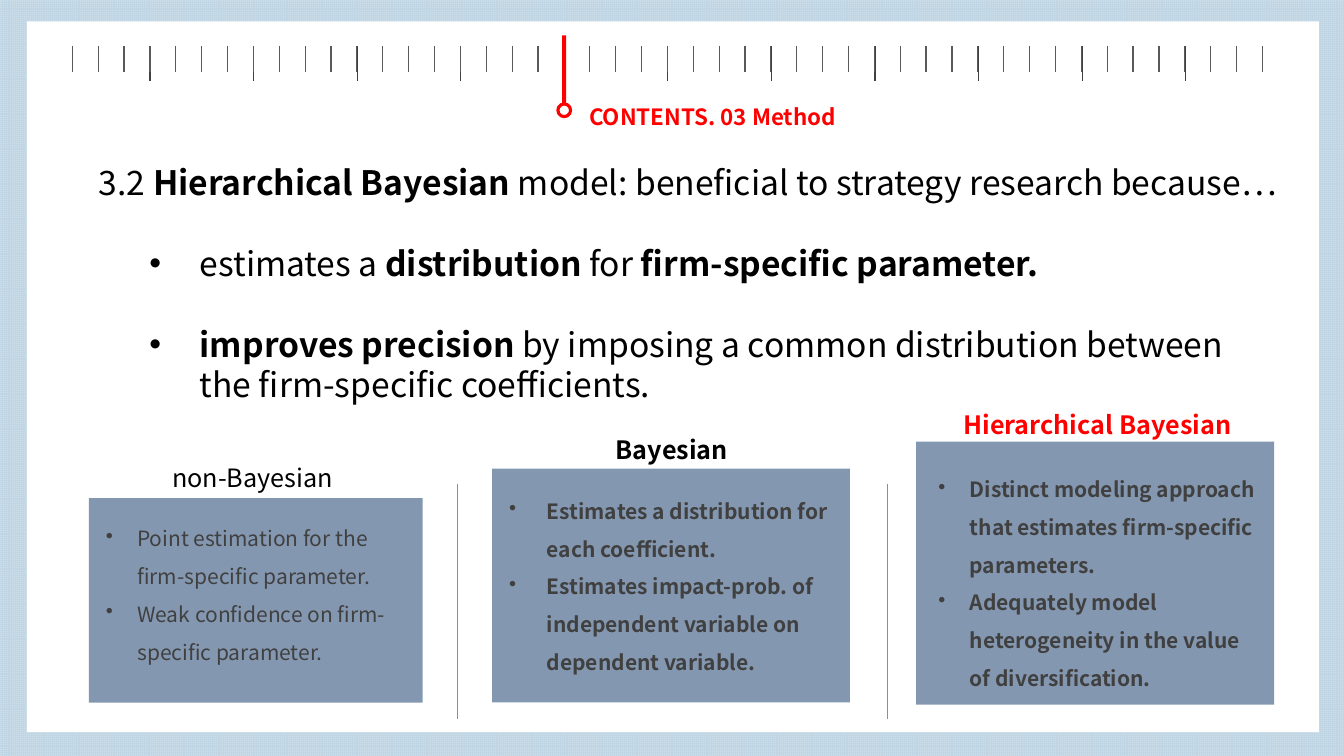
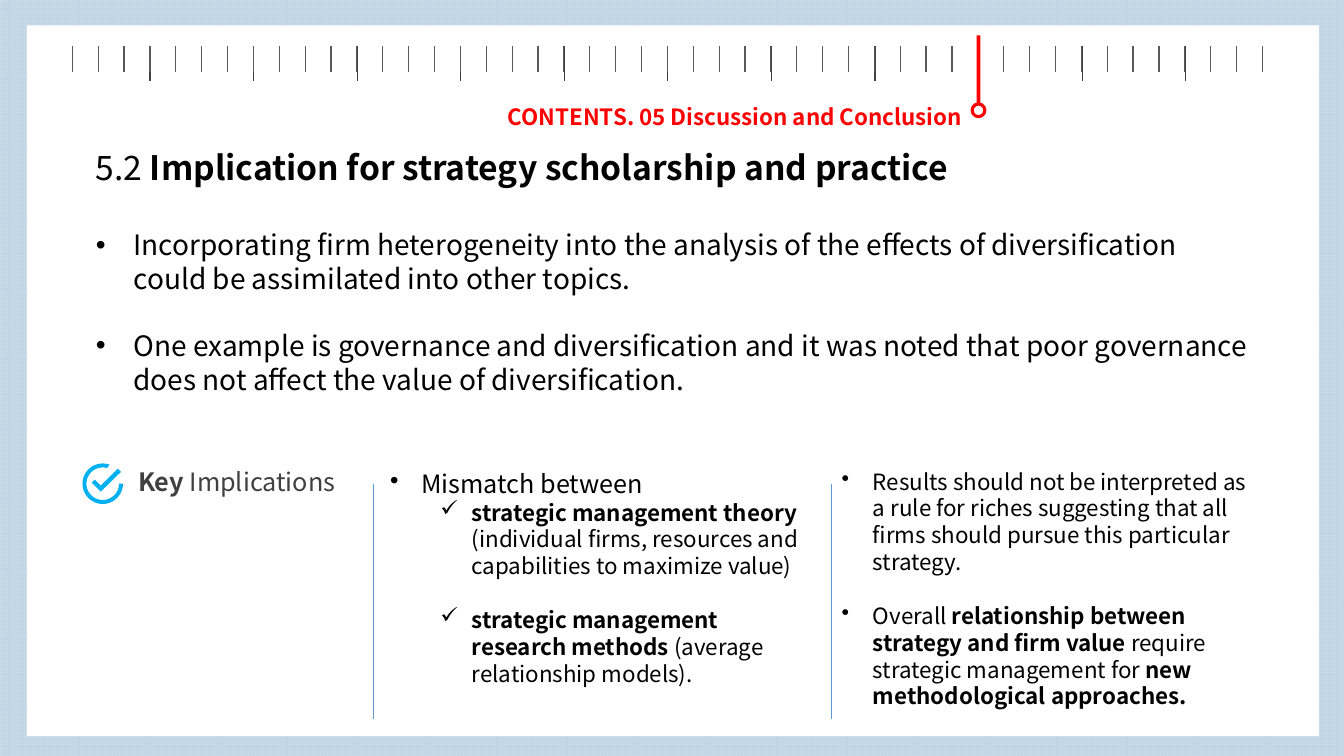
"""Build two slides on Bayesian models under a shared ruler header."""
import math

from lxml import etree
from pptx import Presentation
from pptx import util as u
from pptx.dml.color import RGBColor
from pptx.enum import dml, shapes, text
from pptx.oxml.ns import qn

Cm = u.Cm
FONT = "Noto Sans CJK KR"
RED = RGBColor(0xFF, 0x00, 0x00)
BLACK = RGBColor(0x00, 0x00, 0x00)
WHITE = RGBColor(0xFF, 0xFF, 0xFF)
DARK = RGBColor(0x40, 0x40, 0x40)
GREY = RGBColor(0x59, 0x59, 0x59)
SLATE = RGBColor(0x84, 0x97, 0xB0)
BLUE = RGBColor(0x5B, 0x9B, 0xD5)
CYAN = RGBColor(0x00, 0xB0, 0xF0)
GRID = RGBColor(0xC1, 0xD6, 0xE5)
PALE = RGBColor(0xCD, 0xDE, 0xE9)
WIDE, HIGH = 33.87, 19.05
LEFT, TOP, STEP, MARKS = 1.17, 1.17, 2.61, 12


def put(frame, words, size=18, color=BLACK, bold=False, mark=None,
        left=0, hang=0, level=0, before=0, lines=1.0):
    """Add a paragraph to a frame; words between asterisks are bold."""
    para = frame.paragraphs[0]
    if para.runs:
        para = frame.add_paragraph()
    para.alignment = text.PP_ALIGN.LEFT
    para.level = level
    para.line_spacing = lines
    para.space_before = u.Pt(before)
    para.space_after = u.Pt(0)
    props = para._p.get_or_add_pPr()
    props.set("marL", str(Cm(left)))
    props.set("indent", str(-Cm(hang)))
    if mark:
        etree.SubElement(props, qn("a:buChar")).set("char", mark)
    else:
        etree.SubElement(props, qn("a:buNone"))
    for i, part in enumerate(words.split("*")):
        if part:
            run = para.add_run()
            run.text = part
            run.font.name = FONT
            run.font.size = u.Pt(size)
            run.font.bold = bold or i % 2 == 1
            run.font.color.rgb = color


class Deck:
    """Holds the style and the current slide."""

    def __init__(self):
        """Start an empty wide deck."""
        self.prs = Presentation()
        self.prs.slide_width, self.prs.slide_height = Cm(WIDE), Cm(HIGH)

    def page(self, head, x, mark, top):
        """Add a slide with frame, ruler, pin and section name."""
        self.slide = self.prs.slides.add_slide(self.prs.slide_layouts[1])
        self.items = self.slide.shapes
        fill = self.shape(0, 0, WIDE, HIGH).fill
        fill.patterned()
        fill.pattern = dml.MSO_PATTERN.SMALL_GRID
        fill.fore_color.rgb, fill.back_color.rgb = GRID, PALE
        self.shape(0.68, top, 32.56, 17.91)
        self.ruler(MARKS, 0.86, DARK)
        self.ruler(MARKS * 4, 0.64, GREY)
        put(self.box(x, 2.13, 13.08, 1.3), head, size=16, color=RED,
            bold=True, lines=1.5)
        self.pin(LEFT + mark * STEP)

    def shape(self, x, y, w, h, color=WHITE, kind=shapes.MSO_SHAPE.RECTANGLE):
        """Add a flat shape without an outline."""
        item = self.items.add_shape(kind, Cm(x), Cm(y), Cm(w), Cm(h))
        item.shadow.inherit = False
        item.fill.solid()
        item.fill.fore_color.rgb = color
        item.line.fill.background()
        return item

    def ruler(self, count, high, color):
        """Add a one-row table whose inner borders are ticks."""
        wide = STEP * MARKS
        table = self.items.add_table(
            1, count, Cm(LEFT), Cm(TOP), Cm(wide), Cm(high)).table
        table.first_row = table.horz_banding = False
        table.rows[0].height = Cm(high)
        for i, col in enumerate(table.columns):
            col.width = Cm(wide / count)
            cell = table.cell(0, i)
            cell.margin_left = cell.margin_right = 0
            cell.margin_top = cell.margin_bottom = 0
            para = cell.text_frame.paragraphs[0]._p
            etree.SubElement(para, qn("a:endParaRPr")).set("sz", "100")
            shown = {"lnL": i > 0, "lnR": i < count - 1,
                     "lnT": False, "lnB": False}
            for side, seen in shown.items():
                self.edge(cell, side, color if seen else None)
            cell.fill.background()

    def edge(self, cell, side, color):
        """Set one border of a table cell."""
        line = etree.SubElement(cell._tc.get_or_add_tcPr(), qn("a:" + side))
        line.set("w", str(u.Pt(1)))
        if color is None:
            etree.SubElement(line, qn("a:noFill"))
        else:
            fill = etree.SubElement(line, qn("a:solidFill"))
            etree.SubElement(fill, qn("a:srgbClr")).set("val", str(color))

    def pin(self, x):
        """Mark a place on the ruler."""
        self.shape(x - 0.05, 0.89, 0.1, 1.8, RED)
        dot = self.shape(x - 0.16, 2.62, 0.32, 0.32,
                         kind=shapes.MSO_SHAPE.OVAL)
        dot.line.color.rgb = RED
        dot.line.width = u.Pt(2.25)

    def box(self, x, y, w, h):
        """Add a text box and return its frame."""
        item = self.items.add_textbox(Cm(x), Cm(y), Cm(w), Cm(h))
        item.text_frame.word_wrap = True
        return item.text_frame

    def holder(self, index, x, y, w, h):
        """Place a placeholder on top and return its frame."""
        item = self.slide.placeholders[index]
        item.left, item.top, item.width, item.height = map(Cm, (x, y, w, h))
        self.items._spTree.append(item._element)
        frame = item.text_frame
        frame.word_wrap = True
        frame.auto_size = text.MSO_AUTO_SIZE.NONE
        frame.vertical_anchor = text.MSO_ANCHOR.TOP
        return frame

    def title(self, words, x, y):
        """Fill the title."""
        put(self.holder(0, x, y, 30.6, 1.3), words, size=24)

    def body(self, rows, place, **form):
        """Fill the body with a list."""
        self.items_in(self.holder(1, *place), rows, **form)

    def items_in(self, frame, rows, gap=0, **form):
        """Write bullets with a gap between them."""
        for i, row in enumerate(rows):
            put(frame, row, mark="•", before=gap if i else 0, **form)

    def card(self, rows, place, inset, **form):
        """Add a filled box with a list in it."""
        frame = self.shape(*place, SLATE).text_frame
        frame.word_wrap = True
        frame.vertical_anchor = text.MSO_ANCHOR.TOP
        frame.margin_left, frame.margin_top = map(Cm, inset)
        frame.margin_right, frame.margin_bottom = Cm(0.45), 0
        self.items_in(frame, rows, size=15, color=DARK, lines=1.5, **form)

    def rule(self, x):
        """Add a thin upright line between columns."""
        line = self.items.add_connector(
            shapes.MSO_CONNECTOR.STRAIGHT, Cm(x), Cm(12.19), Cm(x), Cm(18.11))
        line.line.color.rgb = BLUE
        line.line.width = u.Pt(0.5)
        etree.SubElement(line._element.spPr, qn("a:effectLst"))

    def check(self, x, y):
        """Draw a tick in an open ring around a centre."""
        def arc(rad, turns):
            return [(rad * math.cos(math.radians(t)),
                     rad * math.sin(math.radians(t))) for t in turns]

        ring = arc(0.51, range(0, 291, 5)) + arc(0.41, range(285, -1, -5))
        tick = [(0.38, -0.38), (0.46, -0.3), (-0.05, 0.2),
                (-0.28, -0.03), (-0.2, -0.1), (-0.05, 0.05)]
        ring, tick = ([(Cm(x + a), Cm(y + b)) for a, b in part]
                      for part in (ring, tick))
        pen = self.items.build_freeform(*ring[0])
        pen.add_line_segments(ring[1:])
        pen.move_to(*tick[0])
        pen.add_line_segments(tick[1:])
        icon = pen.convert_to_shape()
        icon.shadow.inherit = False
        icon.fill.solid()
        icon.fill.fore_color.rgb = CYAN
        icon.line.fill.background()


def method(deck):
    """Build the slide on the hierarchical model."""
    deck.page("CONTENTS. 03 Method", 14.6, 5, 0.54)
    deck.title("3.2 *Hierarchical Bayesian *model: beneficial to strategy "
               "research because…", 2.24, 3.96)
    deck.body(["estimates a *distribution* for *firm-specific parameter.*",
               "*improves precision *by imposing a common distribution "
               "between the firm-specific coefficients."],
              (2.24, 5.99, 30.25, 4.3), gap=28.8, size=24, level=1,
              left=2.54, hang=1.27)
    for x in (11.53, 22.35):
        deck.rule(x)
    for words, x, y, w, color, bold in (
            ("Bayesian", 15.27, 10.82, 3.7, BLACK, True),
            ("non-Bayesian", 4.09, 11.53, 4.78, BLACK, False),
            ("Hierarchical Bayesian", 24.03, 10.19, 7.9, RED, True)):
        put(deck.box(x, y, w, 1.02), words, color=color, bold=bold)
    deck.card(["Point estimation for the firm-specific parameter.",
               "Weak confidence on firm-specific parameter."],
              (2.24, 12.55, 8.41, 5.16), (0.43, 0.38), left=0.79, hang=0.79)
    deck.card(["Estimates a distribution for each coefficient.",
               "Estimates impact-prob. of independent variable on "
               "dependent variable."],
              (12.4, 11.81, 9.02, 5.89), (0.43, 0.43), bold=True,
              left=0.95, hang=0.95)
    deck.card(["Distinct modeling approach that estimates firm-specific "
               "parameters.",
               "Adequately model heterogeneity in the value of "
               "diversification."],
              (23.09, 11.13, 9.02, 6.63), (0.56, 0.56), bold=True,
              left=0.79, hang=0.79)


def ending(deck):
    """Build the slide on implications."""
    deck.page("CONTENTS. 05 Discussion and Conclusion", 12.55, 9, 0.64)
    deck.title("5.2 *Implication for strategy scholarship and practice*",
               2.16, 3.58)
    deck.body(["Incorporating firm heterogeneity into the analysis of the "
               "effects of diversification could be assimilated into other "
               "topics.",
               "One example is governance and diversification and it was "
               "noted that poor governance does not affect the value of "
               "diversification."],
              (2.16, 5.61, 29.62, 5.38), gap=24, size=20,
              left=0.95, hang=0.95)
    deck.check(2.59, 12.19)
    put(deck.box(3.23, 11.63, 5.56, 1.02), "*Key *Implications", color=DARK)
    frame = deck.box(9.58, 11.68, 10.8, 5.84)
    put(frame, "Mismatch between", mark="•", left=0.79, hang=0.79)
    for words, gap in (
            ("*strategic management theory *(individual firms, resources "
             "and capabilities to maximize value)", 0),
            ("*strategic management research methods *(average "
             "relationship models).", 19.2)):
        put(frame, words, size=16, mark="✓", level=1, before=gap,
            left=2.06, hang=0.79)
    deck.items_in(deck.box(20.96, 11.66, 10.8, 6.6), [
        "Results should not be interpreted as a rule for riches suggesting "
        "that all firms should pursue this particular strategy.",
        "Overall *relationship between strategy and firm value *require "
        "strategic management for *new methodological approaches.*"],
        gap=19.2, size=16, left=0.79, hang=0.79)
    for x in (9.4, 20.96):
        deck.rule(x)


def main():
    """Build and save the deck."""
    deck = Deck()
    method(deck)
    ending(deck)
    deck.prs.save("out.pptx")


if __name__ == "__main__":
    main()
